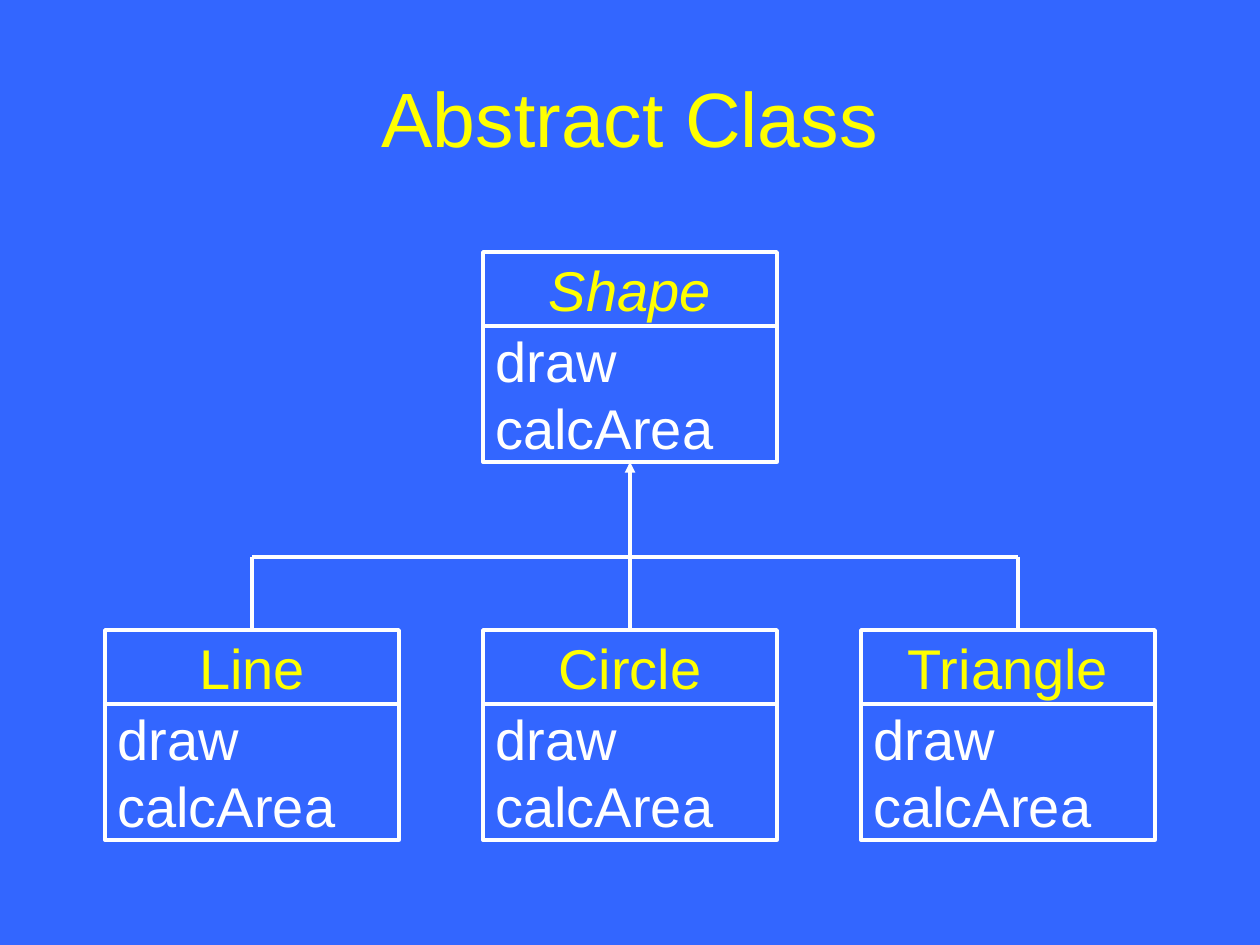
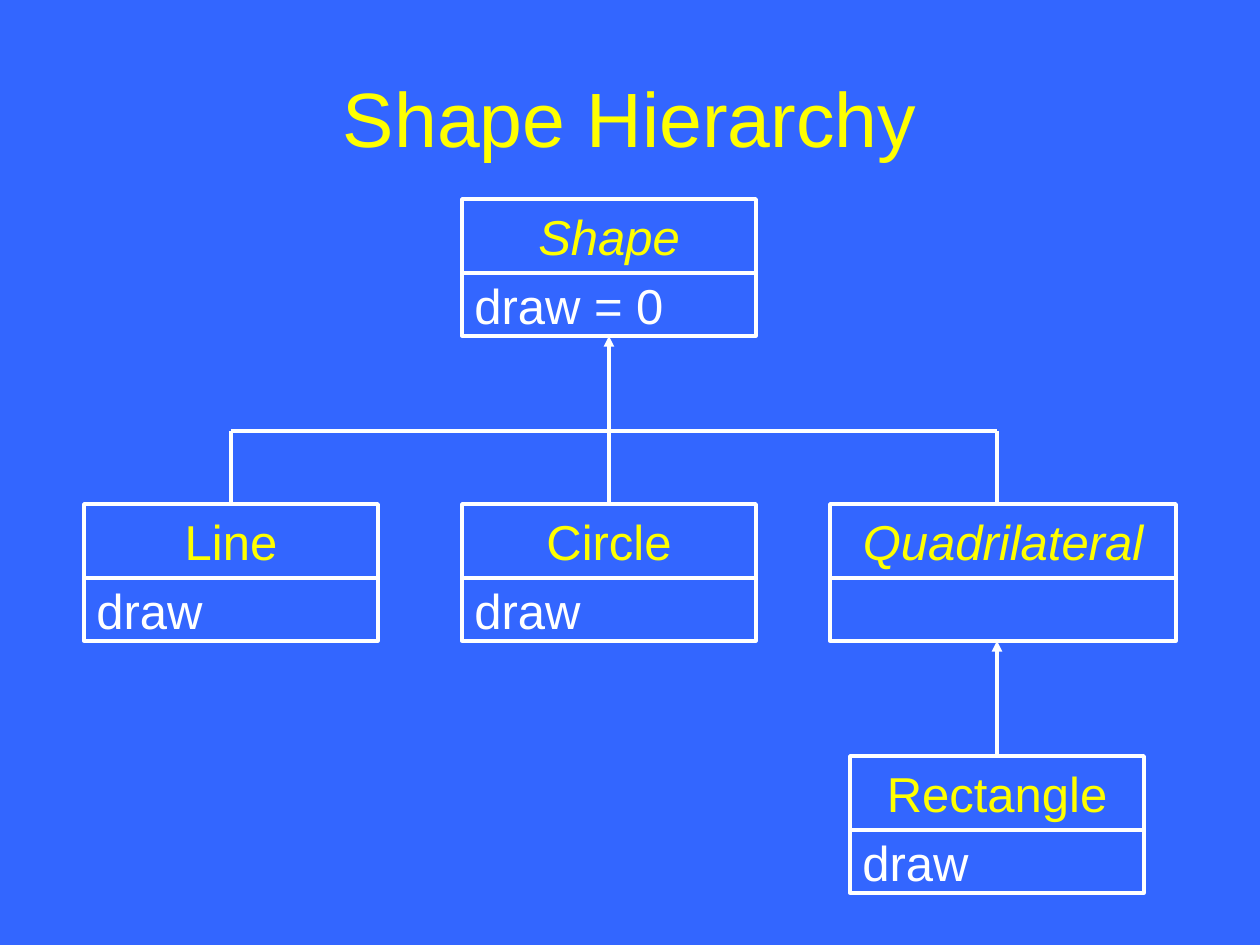
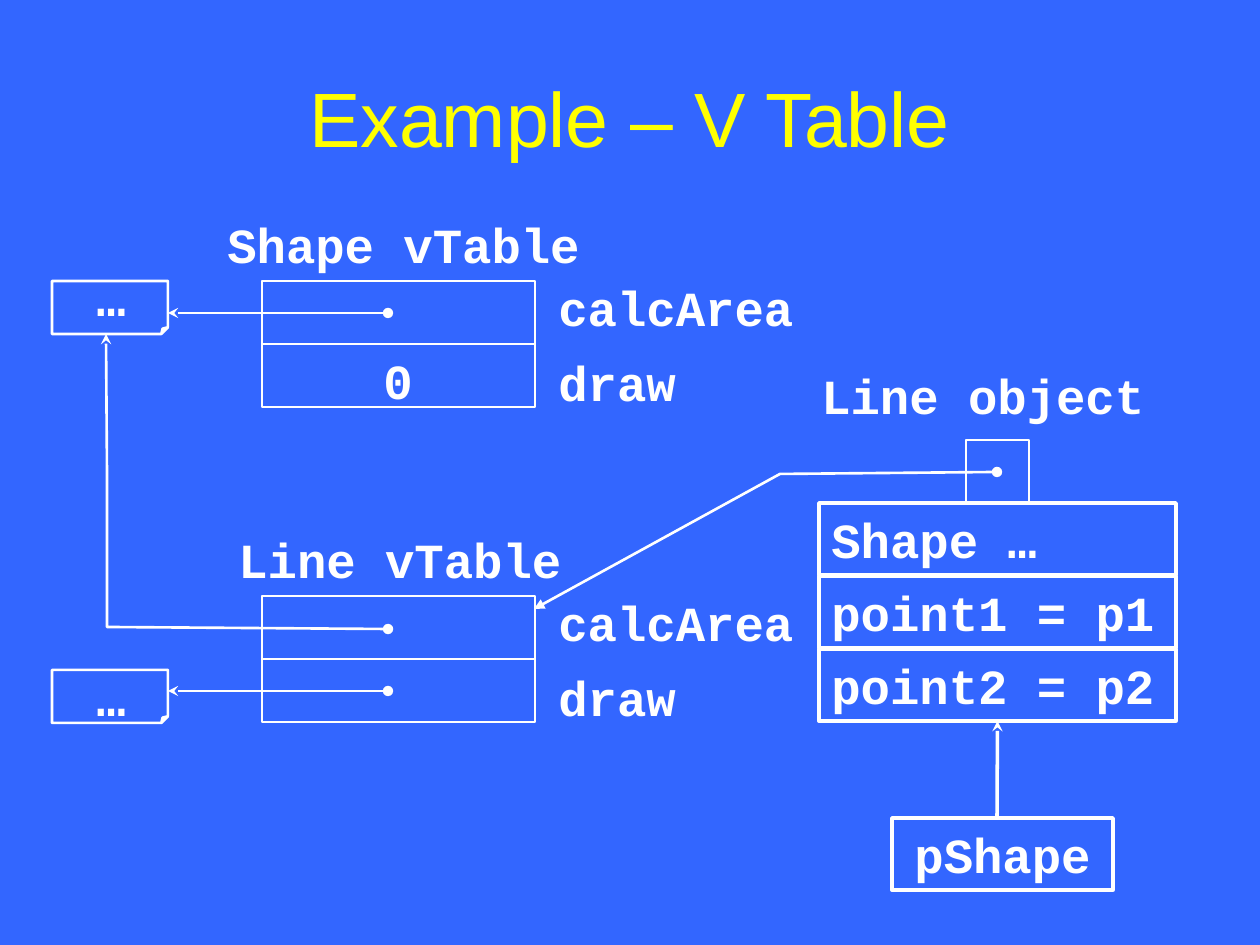
from pptx import Presentation
from pptx.dml.color import RGBColor
from pptx.enum.shapes import MSO_CONNECTOR, MSO_SHAPE
from pptx.enum.text import MSO_ANCHOR, PP_ALIGN
from pptx.oxml.ns import qn
from pptx.util import Emu, Pt
from lxml.etree import SubElement

EMU_PER_PX = 914400 / 126

BLUE = RGBColor(0x33, 0x66, 0xFF)
WHITE = RGBColor(0xFF, 0xFF, 0xFF)
YELLOW = RGBColor(0xFF, 0xFF, 0x00)

TOP, BOTTOM = 0, 2  # connection sites of a rectangle
CLASS_WIDTH, NAME_HEIGHT = 294, 74
ROW_HEIGHT, ROW_STEP = 72, 73
CELL_LEFT, CELL_WIDTH, CELL_HEIGHT = 262, 273, 63
POINTER_X = 388
CODE = {"font": "Courier New", "size": 28, "bold": True, "anchor": MSO_ANCHOR.TOP}


def px(*lengths):
    return [Emu(round(length * EMU_PER_PX)) for length in lengths]


# Basic elements
def write(shape, text, size=28, font="Arial", color=WHITE, bold=False, italic=False,
          align=PP_ALIGN.LEFT, anchor=MSO_ANCHOR.MIDDLE, wrap=True):
    frame = shape.text_frame
    frame.word_wrap = wrap
    frame.vertical_anchor = anchor
    for index, line in enumerate(text.split("\n")):
        para = frame.add_paragraph() if index else frame.paragraphs[0]
        para.alignment = align
        span = para.add_run()
        span.text = line
        span.font.name = font
        span.font.size = Pt(size)
        span.font.bold = bold
        span.font.italic = italic
        span.font.color.rgb = color


def add_label(page, text, left, top, width, height=ROW_HEIGHT, **style):
    box = page.shapes.add_textbox(*px(left, top, width, height))
    write(box, text, **style)


def add_outline(page, left, top, width, height, weight=2.0, kind=MSO_SHAPE.RECTANGLE):
    shape = page.shapes.add_shape(kind, *px(left, top, width, height))
    shape.fill.background()
    shape.line.color.rgb = WHITE
    shape.line.width = Pt(weight)
    shape.shadow.inherit = False
    return shape


def style_stroke(shape, weight, head, tail):
    shape.line.color.rgb = WHITE
    shape.line.width = Pt(weight)
    properties = shape.element.spPr
    stroke = properties.find(qn("a:ln"))
    for tag, kind in (("a:headEnd", head), ("a:tailEnd", tail)):
        if kind:
            SubElement(stroke, qn(tag), type=kind)
    SubElement(properties, qn("a:effectLst"))


def add_line(page, start, end, weight=2.0, head=None, tail=None, begin=None, finish=None):
    """Draw a line; begin and finish are (shape, site) pairs to join."""
    line = page.shapes.add_connector(MSO_CONNECTOR.STRAIGHT, *px(*start, *end))
    if begin:
        line.begin_connect(*begin)
    if finish:
        line.end_connect(*finish)
    style_stroke(line, weight, head, tail)


def add_path(page, points, tail):
    builder = page.shapes.build_freeform(*points[0], scale=EMU_PER_PX)
    builder.add_line_segments(points[1:], close=False)
    path = builder.convert_to_shape()
    path.fill.background()
    style_stroke(path, 1.5, "oval", tail)


def add_page(deck, title):
    page = deck.slides.add_slide(deck.slide_layouts[6])
    page.background.fill.solid()
    page.background.fill.fore_color.rgb = BLUE
    add_label(page, title, 63, 38, 1134, 158, size=44, color=YELLOW, align=PP_ALIGN.CENTER)
    return page


# Class diagrams
def add_class(page, name, methods, left, top, body_height, size,
              width=CLASS_WIDTH, abstract=False):
    header = add_outline(page, left, top, width, NAME_HEIGHT)
    write(header, name, size=size, color=YELLOW, italic=abstract, align=PP_ALIGN.CENTER)
    body = add_outline(page, left, top + NAME_HEIGHT, width, body_height)
    if methods:
        write(body, methods, size=size)
    return header, body


def add_inheritance(page, base_body, children, xs, base_bottom, bar_y, child_top):
    """Join the base to a bar, and the bar to three children; the last drop is off-centre."""
    left, middle, right = xs
    add_line(page, (middle, bar_y + 20), (middle, base_bottom), tail="triangle",
             finish=(base_body, BOTTOM))
    add_line(page, (left, bar_y), (right, bar_y))
    add_line(page, (left, bar_y), (left, child_top), finish=(children[0], TOP))
    add_line(page, (middle, bar_y + 20), (middle, child_top), finish=(children[1], TOP))
    add_line(page, (right, bar_y), (right, child_top))


def add_abstract_class_page(deck):
    page = add_page(deck, "Abstract Class")
    style = {"methods": "draw\ncalcArea", "body_height": 136, "size": 32}
    base_body = add_class(page, "Shape", left=483, top=252, abstract=True, **style)[1]
    children = [add_class(page, name, left=105 + 378 * column, top=630, **style)[0]
                for column, name in enumerate(("Line", "Circle", "Triangle"))]
    add_inheritance(page, base_body, children, (252, 630, 1018), 462, 557, 630)


def add_hierarchy_page(deck):
    page = add_page(deck, "Shape Hierarchy")
    style = {"body_height": 63, "size": 28}
    base_body = add_class(page, "Shape", "draw = 0", 462, 199, abstract=True, **style)[1]
    children = [add_class(page, name, "draw", 84 + 378 * column, 504, **style)[0]
                for column, name in enumerate(("Line", "Circle"))]
    add_class(page, "Quadrilateral", "", 830, 504, width=346, abstract=True, **style)
    rectangle = add_class(page, "Rectangle", "draw", 850, 756, **style)[0]
    add_inheritance(page, base_body, children, (231, 609, 997), 336, 431, 504)
    add_line(page, (997, 756), (997, 641), tail="triangle", begin=(rectangle, TOP))


# Virtual tables
def add_vtable(page, title, title_left, top):
    add_label(page, title, title_left, top - 73, 378, **CODE)
    for row, method in enumerate(("calcArea", "draw")):
        add_outline(page, CELL_LEFT, top + CELL_HEIGHT * row, CELL_WIDTH, CELL_HEIGHT, 1.5)
        add_label(page, method, 546, top - 10 + 75 * row, 273, **CODE)


def add_code_note(page, top, text_top, pointer_y):
    note = add_outline(page, 52, top, 116, 53, 1.5, MSO_SHAPE.FOLDED_CORNER)
    # The fold has no public adjustment, so its size is set in the geometry
    guides = note.element.spPr.find(qn("a:prstGeom")).find(qn("a:avLst"))
    SubElement(guides, qn("a:gd"), name="adj", fmla="val 12500")
    add_label(page, "…", 84, text_top, 54, wrap=False, **CODE)
    add_line(page, (POINTER_X, pointer_y), (168, pointer_y), 1.5, head="oval", tail="stealth")


def add_code_box(page, text, left, top, width, **style):
    box = add_outline(page, left, top, width, ROW_HEIGHT)
    write(box, text, **CODE, **style)
    return box


def add_vtable_page(deck):
    page = add_page(deck, "Example – V Table")
    add_vtable(page, "Shape vTable", 215, 281)
    add_vtable(page, "Line vTable", 226, 596)
    add_label(page, "0", 371, 344, 54, wrap=False, **CODE)
    add_code_note(page, 281, 261, 313)
    add_code_note(page, 670, 661, 691)
    add_path(page, [(POINTER_X, 629), (107, 627), (107, 474), (106, 334)], "stealth")

    # Line object with its table pointer
    add_label(page, "Line object", 809, 359, 378, **CODE)
    add_outline(page, 966, 440, 63, 63, 1.5)
    for row, text in enumerate(("Shape …", "point1 = p1", "point2 = p2")):
        field = add_code_box(page, text, 819, 503 + ROW_STEP * row, 357)
    add_code_box(page, "pShape", 892, 818, 221, align=PP_ALIGN.CENTER)
    add_line(page, (997, 818), (997, 721), tail="stealth", finish=(field, BOTTOM))
    add_path(page, [(997, 472), (780, 474), (534, 609)], "triangle")


def main():
    deck = Presentation()
    deck.slide_width, deck.slide_height = px(1260, 945)
    add_abstract_class_page(deck)
    add_hierarchy_page(deck)
    add_vtable_page(deck)
    deck.save("out.pptx")


if __name__ == "__main__":
    main()
